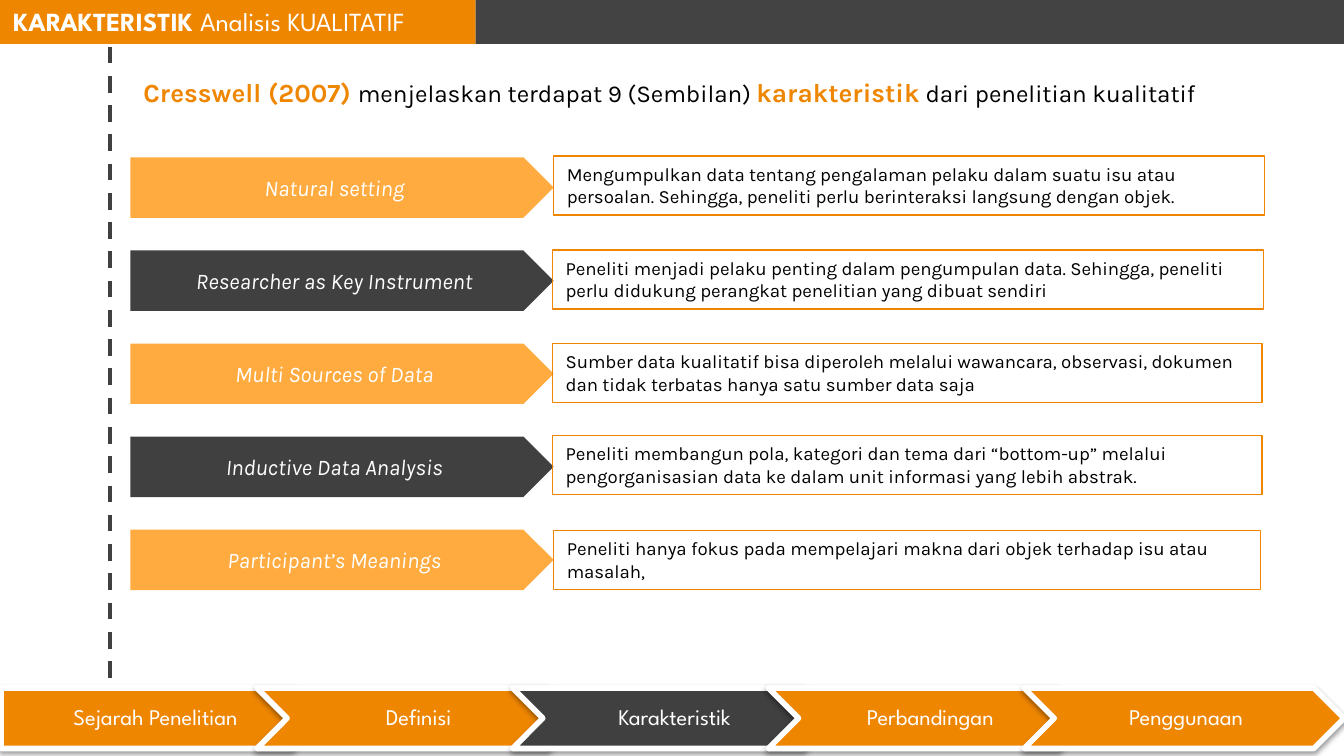
"""Build the slide on the characteristics of qualitative analysis."""
from lxml import etree
from pptx import Presentation
from pptx import util as u
from pptx.dml.color import RGBColor
from pptx.enum import dml, shapes, text
from pptx.oxml.ns import qn

ORANGE = RGBColor(0xEF, 0x86, 0x00)
AMBER = RGBColor(0xFF, 0xAB, 0x40)
CHARCOAL = RGBColor(0x40, 0x40, 0x40)
BAR_GRAY = RGBColor(0x43, 0x43, 0x43)
WHITE = RGBColor(0xFF, 0xFF, 0xFF)
BLACK = RGBColor(0, 0, 0)

ROW_TOP, ROW_PITCH = 84.3, 49.86
NAVIGATION_LEFT, NAVIGATION_PITCH = 0.6, 137

CHARACTERISTICS = [
    ("Natural setting", 296.6, 83.5, 380.9,
     "Mengumpulkan data tentang pengalaman pelaku dalam suatu isu atau persoalan. "
     "Sehingga, peneliti perlu berinteraksi langsung dengan objek."),
    ("Researcher as Key Instrument", 295.9, 133.9, 380.9,
     "Peneliti menjadi pelaku penting dalam pengumpulan data. Sehingga, peneliti "
     "perlu didukung perangkat penelitian yang dibuat sendiri"),
    ("Multi Sources of Data", 295.9, 184, 380.2,
     "Sumber data kualitatif bisa diperoleh melalui wawancara, observasi, dokumen "
     "dan tidak terbatas hanya satu sumber data saja"),
    ("Inductive Data Analysis", 295.9, 233.3, 380.2,
     "Peneliti membangun pola, kategori dan tema dari “bottom-up” melalui "
     "pengorganisasian data ke dalam unit informasi yang lebih abstrak."),
    ("Participant’s Meanings", 296.6, 284.2, 378.7,
     "Peneliti hanya fokus pada mempelajari makna dari objek terhadap isu atau masalah,"),
]
CHAPTERS = ["Sejarah Penelitian", "Definisi", "Karakteristik", "Perbandingan", "Penggunaan"]


class SlideBuilder:
    """Hold the style and the current slide."""

    heading_font = "League Spartan"
    body_font = "Karla"

    def __init__(self, slide):
        self.slide = slide

    def add_text(self, shape, runs, font_name, size, color, align=text.PP_ALIGN.LEFT,
                 anchor=text.MSO_ANCHOR.TOP, italic=None):
        """Fill a shape with one paragraph of (text, bold, size, color) runs."""
        frame = shape.text_frame
        frame.word_wrap = True
        frame.auto_size = text.MSO_AUTO_SIZE.NONE
        frame.vertical_anchor = anchor
        paragraph = frame.paragraphs[0]
        paragraph.alignment = align
        font = paragraph.font
        font.name, font.size, font.italic = font_name, u.Pt(size), italic
        font.color.rgb = color
        for words, bold, run_size, run_color in runs:
            run = paragraph.add_run()
            run.text = words
            run.font.bold = bold
            if run_size:
                run.font.size = u.Pt(run_size)
            if run_color:
                run.font.color.rgb = run_color
        return paragraph

    def title(self, left, top, width, height, runs):
        """Place the title placeholder as a filled header."""
        shape = self.slide.shapes.title
        shape.left, shape.top = u.Pt(left), u.Pt(top)
        shape.width, shape.height = u.Pt(width), u.Pt(height)
        shape.fill.solid()
        shape.fill.fore_color.rgb = ORANGE
        self.add_text(shape, runs, self.heading_font, 14, WHITE)

    def shape(self, kind, left, top, width, height, fill=None, line=None, line_width=0.75):
        """Add a flat preset shape."""
        shape = self.slide.shapes.add_shape(
            kind, u.Pt(left), u.Pt(top), u.Pt(width), u.Pt(height))
        shape.shadow.inherit = False
        if fill is None:
            shape.fill.background()
        else:
            shape.fill.solid()
            shape.fill.fore_color.rgb = fill
        if line is None:
            shape.line.fill.background()
        else:
            shape.line.color.rgb = line
            shape.line.width = u.Pt(line_width)
        return shape

    def dashed_line(self, x, top, bottom):
        """Add a vertical dashed line."""
        line = self.slide.shapes.add_connector(
            shapes.MSO_CONNECTOR.STRAIGHT, u.Pt(x), u.Pt(top), u.Pt(x), u.Pt(bottom))
        line.line.color.rgb = CHARCOAL
        line.line.width = u.Pt(2.25)
        line.line.dash_style = dml.MSO_LINE.DASH
        etree.SubElement(line._element.spPr, qn("a:effectLst"))

    def headline(self, left, top, width, height, runs):
        """Add the introductory sentence."""
        box = self.slide.shapes.add_textbox(
            u.Pt(left), u.Pt(top), u.Pt(width), u.Pt(height))
        self.add_text(box, runs, self.body_font, 13, BLACK)

    def label(self, top, words, fill):
        """Add the arrow that names a characteristic."""
        arrow = self.shape(shapes.MSO_SHAPE.PENTAGON, 69.8, top, 226.8, 32.4, fill)
        self.add_text(arrow, [(words, None, None, None)], self.body_font, 12, WHITE,
                      text.PP_ALIGN.CENTER, text.MSO_ANCHOR.MIDDLE, italic=True)

    def description(self, left, top, width, words):
        """Add the outlined box that explains a characteristic."""
        box = self.shape(shapes.MSO_SHAPE.RECTANGLE, left, top, width, 31.7, line=ORANGE)
        self.add_text(box, [(words, None, None, None)], self.body_font, 10, BLACK)

    def chapter(self, kind, left, words, fill):
        """Add one shadowed step of the navigation bar."""
        step = self.shape(kind, left, 368.6, 171.4, 32.4, fill, WHITE, 3)
        effects = step._element.spPr.find(qn("a:effectLst"))
        shadow = etree.SubElement(effects, qn("a:outerShdw"), blurRad=str(u.Pt(3.1)),
                                  dist=str(u.Pt(1.6)), dir="5400000", rotWithShape="0")
        color = etree.SubElement(shadow, qn("a:srgbClr"), val=str(BLACK))
        etree.SubElement(color, qn("a:alpha"), val="38000")
        paragraph = self.add_text(step, [(words, None, None, None)], self.heading_font, 12,
                                  WHITE, text.PP_ALIGN.CENTER, text.MSO_ANCHOR.MIDDLE)
        paragraph.line_spacing = 0.9
        frame = step.text_frame
        frame.margin_left, frame.margin_right = u.Pt(3.6), u.Pt(1.4)
        frame.margin_top = frame.margin_bottom = u.Pt(2.9)


def main():
    presentation = Presentation()
    presentation.slide_width, presentation.slide_height = u.Pt(720), u.Pt(405)
    slide = presentation.slides.add_slide(presentation.slide_layouts[5])
    builder = SlideBuilder(slide)

    builder.title(0, -0.7, 254.9, 24.2, [
        ("KARAKTERISTIK ", True, None, None),
        ("Analisis KUALITATIF", False, None, None)])
    builder.shape(shapes.MSO_SHAPE.RECTANGLE, 254.9, 0, 465.1, 23.5, BAR_GRAY)
    builder.dashed_line(59, 25, 371)
    builder.headline(69.8, 37.4, 631.4, 24.5, [
        ("Cresswell (2007) ", True, 14, ORANGE),
        ("menjelaskan terdapat 9 (Sembilan) ", False, None, None),
        ("karakteristik", True, 14, ORANGE),
        (" dari penelitian kualitatif", False, None, None)])

    for row, (name, left, top, width, words) in enumerate(CHARACTERISTICS):
        builder.label(ROW_TOP + row * ROW_PITCH, name, CHARCOAL if row % 2 else AMBER)
        builder.description(left, top, width, words)

    for index, name in enumerate(CHAPTERS):
        kind = shapes.MSO_SHAPE.CHEVRON if index else shapes.MSO_SHAPE.PENTAGON
        fill = CHARCOAL if name == "Karakteristik" else ORANGE
        builder.chapter(kind, NAVIGATION_LEFT + index * NAVIGATION_PITCH, name, fill)

    presentation.save("out.pptx")


if __name__ == "__main__":
    main()
